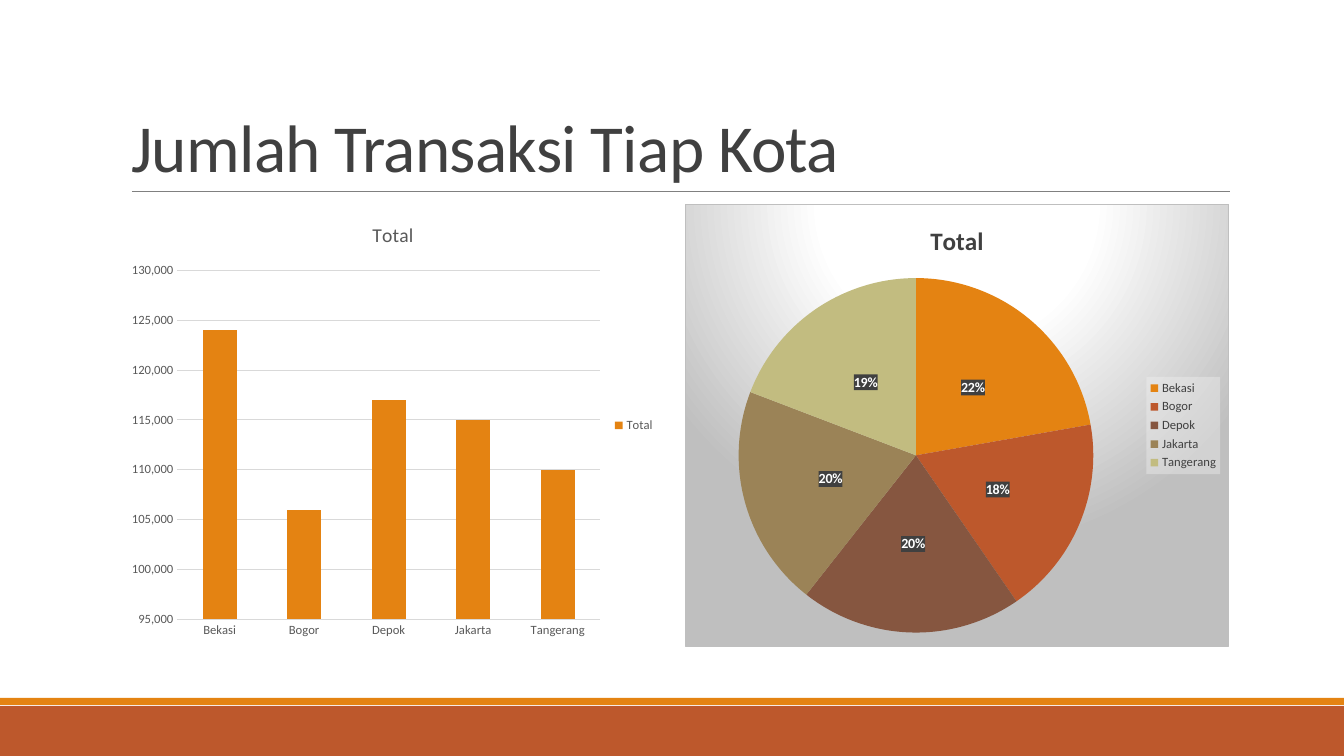
from lxml import etree
from pptx import Presentation
from pptx.chart.data import CategoryChartData as Data
from pptx.dml.color import RGBColor
from pptx.enum.chart import XL_CHART_TYPE as Kind
from pptx.enum.chart import XL_LABEL_POSITION as Spot
from pptx.enum.chart import XL_LEGEND_POSITION as Side
from pptx.enum.chart import XL_TICK_MARK as Tick
from pptx.enum.shapes import MSO_CONNECTOR as Line
from pptx.enum.shapes import MSO_SHAPE as Shape
from pptx.enum.text import MSO_ANCHOR as Anchor
from pptx.enum.text import MSO_AUTO_SIZE as Fit
from pptx.enum.text import PP_ALIGN as Align
from pptx.oxml.ns import qn
from pptx.util import Pt

HEAD = "Jumlah Transaksi Tiap Kota"
NAME = "Total"
CITIES = ["Bekasi", "Bogor", "Depok", "Jakarta", "Tangerang"]
COUNTS = [124000, 106000, 117000, 115000, 110000]
SHARES = [22, 18, 20, 20, 19]
HUES = ["E48312", "BD582C", "865640", "9B8357", "C2BC80"]
INK, GRAY, GRID, EDGE = "404040", "595959", "D9D9D9", "BFBFBF"
BANDS = [((0, 706, 1344, 50), HUES[1]), ((0, 698, 1344, 7), HUES[0])]
RULE = (132, 191, 1230, 191)
TITLE = (121, 31, 1109, 160)
LEFT, GAP, TOP, WIDE, HIGH = 121, 564, 204, 544, 443
STOPS = [(0, "FFFFFF"), (39, "FFFFFF"), (100, EDGE)]
FONT = "Calibri"
SCALE = 914400 / 100.8
DML = "http://schemas.openxmlformats.org/drawingml/2006/main"
CML = "http://schemas.openxmlformats.org/drawingml/2006/chart"


def px(*nums):
    """Turn pixels into EMU."""
    return [round(n * SCALE) for n in nums]


def rgb(code):
    """Make a colour from a hex string."""
    return RGBColor.from_string(code)


def style(font, size, color, bold=False):
    """Format a font."""
    font.name, font.size, font.bold = FONT, Pt(size), bold
    font.color.rgb = rgb(color)


def write(frame, text, size, color, bold=False):
    """Put formatted text in a frame and return its run."""
    frame.text = text
    run = frame.paragraphs[0].runs[0]
    style(run.font, size, color, bold)
    return run


def solid(color, alpha=100):
    """Give the XML of a solid fill."""
    return (f'<a:solidFill><a:srgbClr val="{color}"><a:alpha val="{alpha * 1000}"/>'
            '</a:srgbClr></a:solidFill>')


def props(fill):
    """Make chart shape properties around fill XML."""
    return etree.fromstring(
        f'<c:spPr xmlns:c="{CML}" xmlns:a="{DML}">{fill}</c:spPr>')


def glow():
    """Give the XML of the round gradient and border of the pie's panel."""
    stops = "".join(f'<a:gs pos="{at * 1000}"><a:srgbClr val="{hue}"/></a:gs>'
                    for at, hue in STOPS)
    return (f'<a:gradFill><a:gsLst>{stops}</a:gsLst><a:path path="circle">'
            '<a:fillToRect l="50000" t="-80000" r="50000" b="180000"/>'
            f'</a:path></a:gradFill><a:ln w="9525">{solid(EDGE)}</a:ln>')


def graph(slide, col, kind, vals, size, color, bold, key):
    """Add a chart with its title and legend."""
    data = Data(number_format="#,##0")
    data.categories = CITIES
    data.add_series(NAME, vals)
    spot = px(LEFT + col * GAP, TOP, WIDE, HIGH)
    chart = slide.shapes.add_chart(kind, *spot, data).chart
    style(chart.font, 10, "000000")
    chart.has_title = chart.has_legend = True
    write(chart.chart_title.text_frame, NAME, size, color, bold)
    chart.chart_title.include_in_layout = False
    chart.legend.position = Side.RIGHT
    chart.legend.include_in_layout = False
    style(chart.legend.font, 9, key)
    return chart


def bars(slide):
    """Add the column chart of counts."""
    chart = graph(slide, 0, Kind.COLUMN_STACKED, COUNTS, 14, GRAY, False, GRAY)
    plot = chart.plots[0]
    plot.gap_width, plot.overlap, plot.vary_by_categories = 150, 100, False
    fill = plot.series[0].format.fill
    fill.solid()
    fill.fore_color.rgb = rgb(HUES[0])
    cat, val = chart.category_axis, chart.value_axis
    for axis in (cat, val):
        axis.major_tick_mark = axis.minor_tick_mark = Tick.NONE
        style(axis.tick_labels.font, 9, GRAY)
    val.minimum_scale, val.maximum_scale, val.major_unit = 95000, 130000, 5000
    val.tick_labels.number_format = "#,##0"
    val.tick_labels.number_format_is_linked = False
    val.format.line.fill.background()
    for line in (cat.format.line, val.major_gridlines.format.line):
        line.color.rgb, line.width = rgb(GRID), Pt(0.75)


def pie(slide):
    """Add the pie chart of shares."""
    chart = graph(slide, 1, Kind.PIE, SHARES, 18, INK, True, INK)
    plot = chart.plots[0]
    plot.vary_by_categories = True
    for i, hue in enumerate(HUES):
        fill = plot.series[0].points[i].format.fill
        fill.solid()
        fill.fore_color.rgb = rgb(hue)
    tags = plot.series[0].data_labels
    tags.show_percentage, tags.show_value = True, False
    tags.number_format, tags.number_format_is_linked = "0%", False
    tags.position = Spot.CENTER
    style(tags.font, 10, "FFFFFF", True)
    root = chart.font._element if hasattr(chart.font, "_element") else chart.element
    root = chart.element if hasattr(chart, "element") else chart._chartSpace
    root.find(qn("c:chart")).addnext(props(glow()))
    for tag, fill in (("c:dLbls", solid(INK, 90)), ("c:legend", solid("F2F2F2", 39))):
        root.find(".//" + qn(tag)).find(qn("c:txPr")).addprevious(props(fill))


def base(slide):
    """Draw the foot bands and the rule under the title."""
    for box, hue in BANDS:
        band = slide.shapes.add_shape(Shape.RECTANGLE, *px(*box))
        band.shadow.inherit = False
        band.fill.solid()
        band.fill.fore_color.rgb = rgb(hue)
        band.line.fill.background()
    rule = slide.shapes.add_connector(Line.STRAIGHT, *px(*RULE))
    rule.line.color.rgb, rule.line.width = rgb("808080"), Pt(0.5)
    etree.SubElement(rule._element.spPr, qn("a:effectLst"))


def head(slide):
    """Place and format the title."""
    title = slide.shapes.title
    title.left, title.top, title.width, title.height = px(*TITLE)
    frame = title.text_frame
    run = write(frame, HEAD, 48, INK)
    run.font._element.set("spc", "-50")
    frame.word_wrap, frame.auto_size = True, Fit.NONE
    frame.vertical_anchor = Anchor.BOTTOM
    frame.paragraphs[0].alignment = Align.LEFT
    frame.paragraphs[0].line_spacing = 0.85


def main():
    """Build and save the slide."""
    deck = Presentation()
    deck.slide_width, deck.slide_height = px(1344, 756)
    slide = deck.slides.add_slide(deck.slide_layouts[5])
    for part in (base, head, bars, pie):
        part(slide)
    deck.save("out.pptx")


main()
